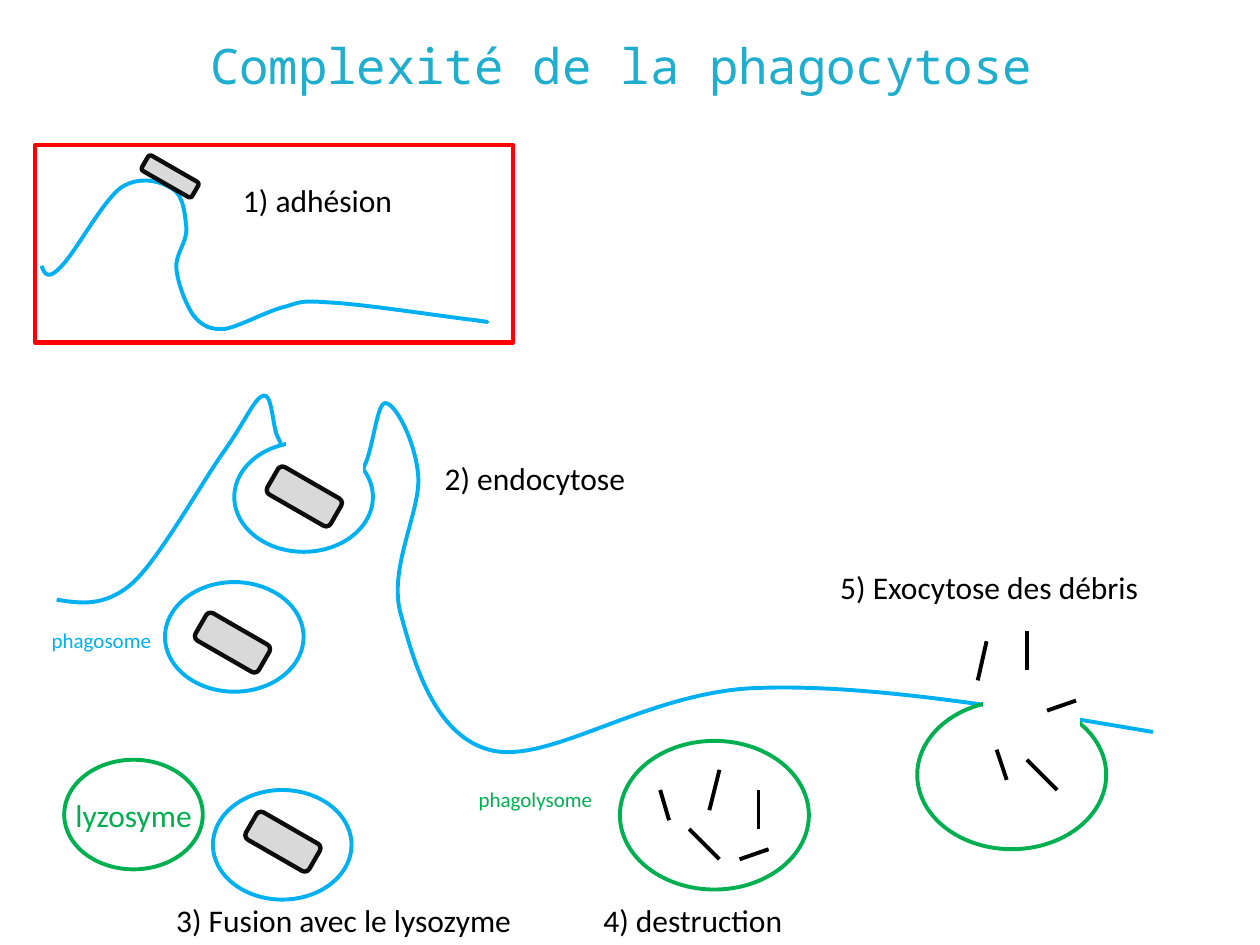
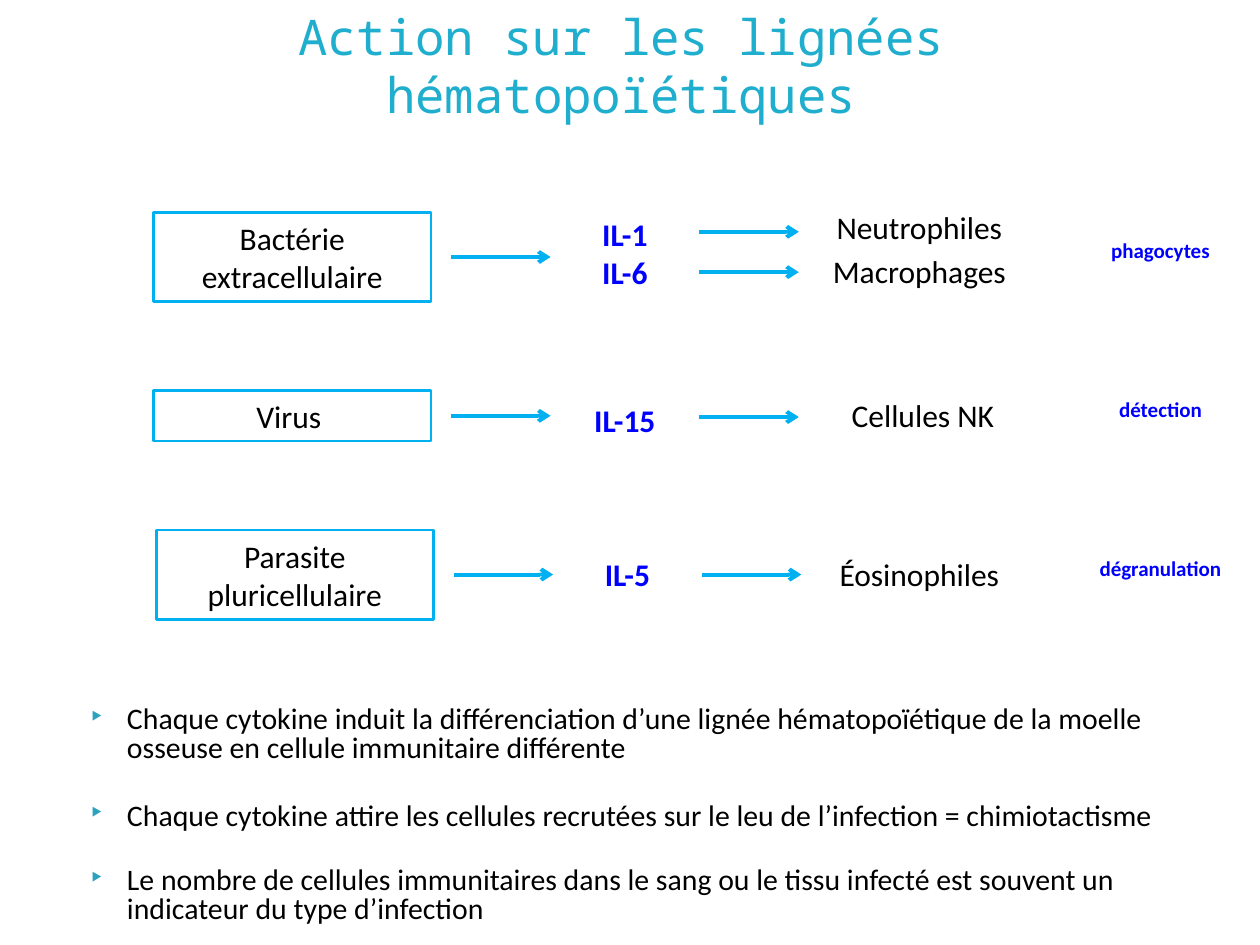
from lxml import etree
from pptx import Presentation
from pptx.dml.color import RGBColor
from pptx.enum.shapes import MSO_CONNECTOR, MSO_SHAPE
from pptx.enum.text import MSO_ANCHOR, MSO_AUTO_SIZE, PP_ALIGN
from pptx.oxml.ns import qn
from pptx.util import Inches, Pt

COLUMNS, ROWS = 10, 7.5
CELL = Inches(1)
TITLE_ONLY = 5
STRAIGHT = MSO_CONNECTOR.STRAIGHT
ELLIPSE = MSO_SHAPE.OVAL
RECTANGLE = MSO_SHAPE.RECTANGLE
ROUNDED = MSO_SHAPE.ROUNDED_RECTANGLE
LEFT, CENTER = PP_ALIGN.LEFT, PP_ALIGN.CENTER
MIDDLE, TOP = MSO_ANCHOR.MIDDLE, MSO_ANCHOR.TOP
NO_AUTOFIT = MSO_AUTO_SIZE.NONE

COLORS = {
    "title": "1FAECD",
    "membrane": "00B0F0",
    "lysosome": "00B050",
    "cytokine": "0000FF",
    "bacterium": "D9D9D9",
    "bacterium_edge": "0D0D0D",
    "highlight": "FF0000",
    "bullet": "2DA2BF",
    "text": "000000",
    "background": "FFFFFF",
}
TITLE_FONT, BODY_FONT = "Noto Sans Mono", "Calibri"
THIN, NORMAL, BOLD_LINE, MASK_LINE = 1.5, 2.25, 2.5, 4.33
PHAGOSOME_SIZE = (1.1, 0.87)
PHAGOLYSOSOME_SIZE = (1.5, 1.18)
BACTERIUM_SIZE = (0.25, 0.58)
LABEL_HEIGHT = 0.4

ADHESION_MEMBRANE = [
    (0.33, 2.11), (0.35, 2.17), (0.38, 2.23), (0.48, 2.12),
    (0.59, 2.02), (0.81, 1.6), (0.96, 1.49), (1.11, 1.39), (1.28, 1.44), (1.37, 1.5),
    (1.46, 1.55), (1.47, 1.72), (1.48, 1.82), (1.48, 1.93), (1.39, 2.02), (1.4, 2.13),
    (1.41, 2.25), (1.48, 2.43), (1.54, 2.51), (1.61, 2.59), (1.67, 2.62), (1.79, 2.61),
    (1.9, 2.59), (2.1, 2.48), (2.24, 2.44), (2.37, 2.41), (2.35, 2.38), (2.6, 2.4),
    (2.86, 2.41), (3.57, 2.52), (3.76, 2.54), (3.95, 2.57), (3.85, 2.55), (3.76, 2.54),
]
CELL_MEMBRANE = [
    (0.45, 4.76), (0.64, 4.79), (0.83, 4.82), (1.05, 4.63),
    (1.27, 4.43), (1.6, 3.83), (1.78, 3.58), (1.95, 3.34), (2.02, 3.16), (2.09, 3.14),
    (2.16, 3.12), (2.16, 3.36), (2.2, 3.46), (2.25, 3.55), (2.27, 3.68), (2.38, 3.73),
    (2.48, 3.78), (2.73, 3.84), (2.85, 3.76), (2.96, 3.67), (2.98, 3.19), (3.06, 3.2),
    (3.14, 3.2), (3.3, 3.51), (3.32, 3.78), (3.34, 4.06), (3.08, 4.51), (3.18, 4.87),
    (3.28, 5.23), (3.44, 5.86), (3.92, 5.96), (4.4, 6.05), (5.16, 5.48), (6.03, 5.46),
    (6.9, 5.43), (8.03, 5.62), (9.15, 5.81),
]
DIGESTED_DEBRIS = [
    (5.24, 6.27, 5.31, 6.51), (5.71, 6.11, 5.63, 6.43), (6.02, 6.27, 6.02, 6.58),
    (5.47, 6.58, 5.71, 6.82), (6.1, 6.74, 5.87, 6.82),
]
EXPELLED_DEBRIS = [
    (8.15, 5.01, 8.15, 5.32), (7.91, 5.95, 7.99, 6.19), (7.83, 5.09, 7.76, 5.4),
    (8.15, 6.03, 8.39, 6.27), (8.54, 5.56, 8.31, 5.64),
]
STEPS = [
    ("1) adhésion", 1.83, 1.39, 1.89),
    ("2) endocytose", 3.43, 3.59, 1.89),
    ("3) Fusion avec le lysozyme", 1.3, 7.1, 3.7),
    ("4) destruction", 4.69, 7.1, 1.89),
    ("5) Exocytose des débris", 6.57, 4.46, 2.91),
]
PATHWAYS = [
    ("Bactérie extracellulaire", 0, 0.71, ["IL-1", "IL-6"], 1.66,
     [("Neutrophiles ", 1.6, 1.84), ("Macrophages ", 1.95, 2.16)], "phagocytes"),
    ("Virus ", 0, 0.4, ["IL-15"], 3.13, [("Cellules NK", 3.09, 3.31)], "détection"),
    ("Parasite pluricellulaire", 0.02, 0.71, ["IL-5"], 4.36,
     [("Éosinophiles ", 4.36, 4.56)], "dégranulation"),
]
FIRST_PATHWAY, PATHWAY_PITCH = 2.04, 1.26
ARROW_LENGTH = 0.79
CONCLUSIONS = [
    ("Chaque cytokine induit la différenciation d’une lignée hématopoïétique "
     "de la moelle osseuse en cellule immunitaire différente", 0),
    ("Chaque cytokine attire les cellules recrutées sur le leu de l’infection "
     "= chimiotactisme", 22.5),
    ("Le nombre de cellules immunitaires dans le sang ou le tissu infecté est souvent "
     "un indicateur du type d’infection", 20.5),
]


def color(name):
    """Return the named colour."""
    return RGBColor.from_string(COLORS[name])


def cells(*lengths):
    """Convert grid lengths to slide units."""
    return [round(length * CELL) for length in lengths]


def set_font(paragraph, size, name="text", bold=False, font=BODY_FONT):
    """Format a whole paragraph."""
    paragraph.font.name = font
    paragraph.font.size = Pt(size)
    paragraph.font.bold = bold
    paragraph.font.color.rgb = color(name)


def write(frame, lines, size=18, name="text", bold=False, align=CENTER, anchor=TOP):
    """Fill a text frame with one paragraph per line."""
    frame.word_wrap = True
    frame.vertical_anchor = anchor
    frame.text = "\n".join(lines)
    for paragraph in frame.paragraphs:
        paragraph.alignment = align
        set_font(paragraph, size, name, bold)


def add_titled_slide(presentation, title):
    """Add a title-only slide with the shared title style."""
    slide = presentation.slides.add_slide(presentation.slide_layouts[TITLE_ONLY])
    shape = slide.shapes.title
    shape.left, shape.top, shape.width, shape.height = cells(0.43, 0.13, 9, 0.77)
    frame = shape.text_frame
    frame.text = title
    frame.word_wrap = True
    frame.auto_size = NO_AUTOFIT
    frame.vertical_anchor = MIDDLE
    frame.paragraphs[0].alignment = CENTER
    set_font(frame.paragraphs[0], 28, "title", font=TITLE_FONT)
    return slide


def add_label(slide, lines, left, top, width, height=LABEL_HEIGHT, **style):
    """Add a text box."""
    box = slide.shapes.add_textbox(*cells(left, top, width, height))
    write(box.text_frame, lines, **style)


def style_shape(shape, line, width, fill=None):
    """Set the outline and the fill of a shape without shadow."""
    shape.shadow.inherit = False
    shape.line.color.rgb = color(line)
    shape.line.width = Pt(width)
    if fill:
        shape.fill.solid()
        shape.fill.fore_color.rgb = color(fill)
    else:
        shape.fill.background()


def add_figure(slide, kind, left, top, size, line, width=NORMAL, fill=None):
    """Add a styled preset shape."""
    shape = slide.shapes.add_shape(kind, *cells(left, top, *size))
    style_shape(shape, line, width, fill)
    return shape


def add_mask(slide, left, top, size):
    """Open a vesicle with a background-coloured rectangle."""
    add_figure(slide, RECTANGLE, left, top, size, "background", MASK_LINE, "background")


def add_bacterium(slide, left, top, size=BACTERIUM_SIZE):
    """Add a tilted bacterium."""
    shape = add_figure(slide, ROUNDED, left, top, size, "bacterium_edge", BOLD_LINE, "bacterium")
    shape.rotation = 119.9


def add_line(slide, start_x, start_y, end_x, end_y, name="text", arrow=False):
    """Add a straight line, with an arrowhead on request."""
    connector = slide.shapes.add_connector(STRAIGHT, *cells(start_x, start_y, end_x, end_y))
    connector.line.color.rgb = color(name)
    connector.line.width = Pt(NORMAL)
    if arrow:
        etree.SubElement(connector.line._get_or_add_ln(), qn("a:tailEnd"), type="arrow")
    etree.SubElement(connector._element.spPr, qn("a:effectLst"))


def add_arrow(slide, left, middle):
    """Add a horizontal arrow of the shared length."""
    add_line(slide, left, middle, left + ARROW_LENGTH, middle, "membrane", arrow=True)


def add_membrane(slide, controls):
    """Draw an open membrane as a chain of cubic curves."""
    points = [cells(*point) for point in controls]
    builder = slide.shapes.build_freeform(*points[0])
    builder.add_line_segments(points[1:], close=False)
    shape = builder.convert_to_shape()
    outline = next(shape._element.iter(qn("a:path")))
    segments = outline.findall(qn("a:lnTo"))
    for index, segment in enumerate(segments):
        if index % 3 == 0:
            curve = etree.SubElement(outline, qn("a:cubicBezTo"))
        curve.append(segment[0])
        outline.remove(segment)
    style_shape(shape, "membrane", NORMAL)


def add_bullet(paragraph):
    """Give a paragraph a hanging triangle bullet."""
    properties = paragraph._p.get_or_add_pPr()
    properties.set("marL", str(Inches(0.4)))
    properties.set("indent", str(Inches(-0.28)))
    bullet_color = etree.SubElement(properties, qn("a:buClr"))
    etree.SubElement(bullet_color, qn("a:srgbClr"), val=COLORS["bullet"])
    etree.SubElement(properties, qn("a:buSzPct"), val="40000")
    etree.SubElement(properties, qn("a:buChar"), char="▶")


def add_conclusions(slide):
    """Add the bulleted conclusions."""
    frame = slide.shapes.add_textbox(*cells(0.51, 5.56, 9, 1.94)).text_frame
    frame.word_wrap = True
    for index, (text, space) in enumerate(CONCLUSIONS):
        paragraph = frame.add_paragraph() if index else frame.paragraphs[0]
        paragraph.text = text
        paragraph.line_spacing = 0.8
        if space:
            paragraph.space_before = Pt(space)
        add_bullet(paragraph)
        set_font(paragraph, 17)


def build_phagocytosis(presentation):
    """Draw the five steps of phagocytosis."""
    slide = add_titled_slide(presentation, "Complexité de la phagocytose")
    add_membrane(slide, CELL_MEMBRANE)
    add_figure(slide, ELLIPSE, 1.86, 3.51, PHAGOSOME_SIZE, "membrane", fill="background")
    add_mask(slide, 2.3, 3.04, (0.55, 0.79))
    for left, top in ((1.31, 4.62), (1.69, 6.27)):
        add_figure(slide, ELLIPSE, left, top, PHAGOSOME_SIZE, "membrane")
    for left, top in ((2.29, 3.65), (1.72, 4.81), (2.12, 6.39)):
        add_bacterium(slide, left, top)
    add_membrane(slide, ADHESION_MEMBRANE)
    add_bacterium(slide, 1.28, 1.17, (0.14, 0.46))
    add_figure(slide, RECTANGLE, 0.28, 1.15, (3.79, 1.57), "highlight", BOLD_LINE)
    add_figure(slide, ELLIPSE, 0.51, 6.03, PHAGOSOME_SIZE, "lysosome")
    for left, top in ((4.92, 5.88), (7.28, 5.56)):
        add_figure(slide, ELLIPSE, left, top, PHAGOLYSOSOME_SIZE, "lysosome")
    add_mask(slide, 7.83, 5.25, (0.71, 0.63))
    for debris in DIGESTED_DEBRIS + EXPELLED_DEBRIS:
        add_line(slide, *debris)
    for text, left, top, width in STEPS:
        add_label(slide, [text], left, top, width, align=LEFT)
    add_label(slide, ["lyzosyme"], 0.35, 6.27, 1.42, name="lysosome")
    add_label(slide, ["phagosome"], 0, 4.93, 1.61, 0.3, size=12, name="membrane")
    add_label(slide, ["phagolysome"], 3.58, 6.19, 1.34, 0.3, size=12, name="lysosome")


def add_pathway(slide, middle, pathogen, shift, height, cytokines, cytokine_top, targets, effect):
    """Add one row leading from a pathogen to its immune effect."""
    box = add_figure(slide, RECTANGLE, 1.22 + shift, middle - height / 2, (2.2, height),
                     "membrane", THIN)
    write(box.text_frame, [pathogen], anchor=MIDDLE)
    add_arrow(slide, 3.58 + shift, middle)
    cytokine_height = 0.4 + 0.31 * (len(cytokines) - 1)
    add_label(slide, cytokines, 4.38 + shift, cytokine_top, 1.16, cytokine_height,
              name="cytokine", bold=True)
    for target, target_top, arrow_middle in targets:
        add_arrow(slide, 5.55 + shift, arrow_middle)
        add_label(slide, [target], 6.42, target_top, 1.81)
    add_label(slide, [effect], 8.62, middle - 0.2, 1.18, 0.3,
              size=12, name="cytokine", bold=True)


def build_lineages(presentation):
    """Show the cytokines acting on each lineage."""
    slide = add_titled_slide(presentation, "Action sur les lignées hématopoïétiques")
    for index, pathway in enumerate(PATHWAYS):
        add_pathway(slide, FIRST_PATHWAY + index * PATHWAY_PITCH, *pathway)
    add_conclusions(slide)


def main():
    """Build and save the presentation."""
    presentation = Presentation()
    presentation.slide_width, presentation.slide_height = cells(COLUMNS, ROWS)
    build_phagocytosis(presentation)
    build_lineages(presentation)
    presentation.save("out.pptx")


if __name__ == "__main__":
    main()
